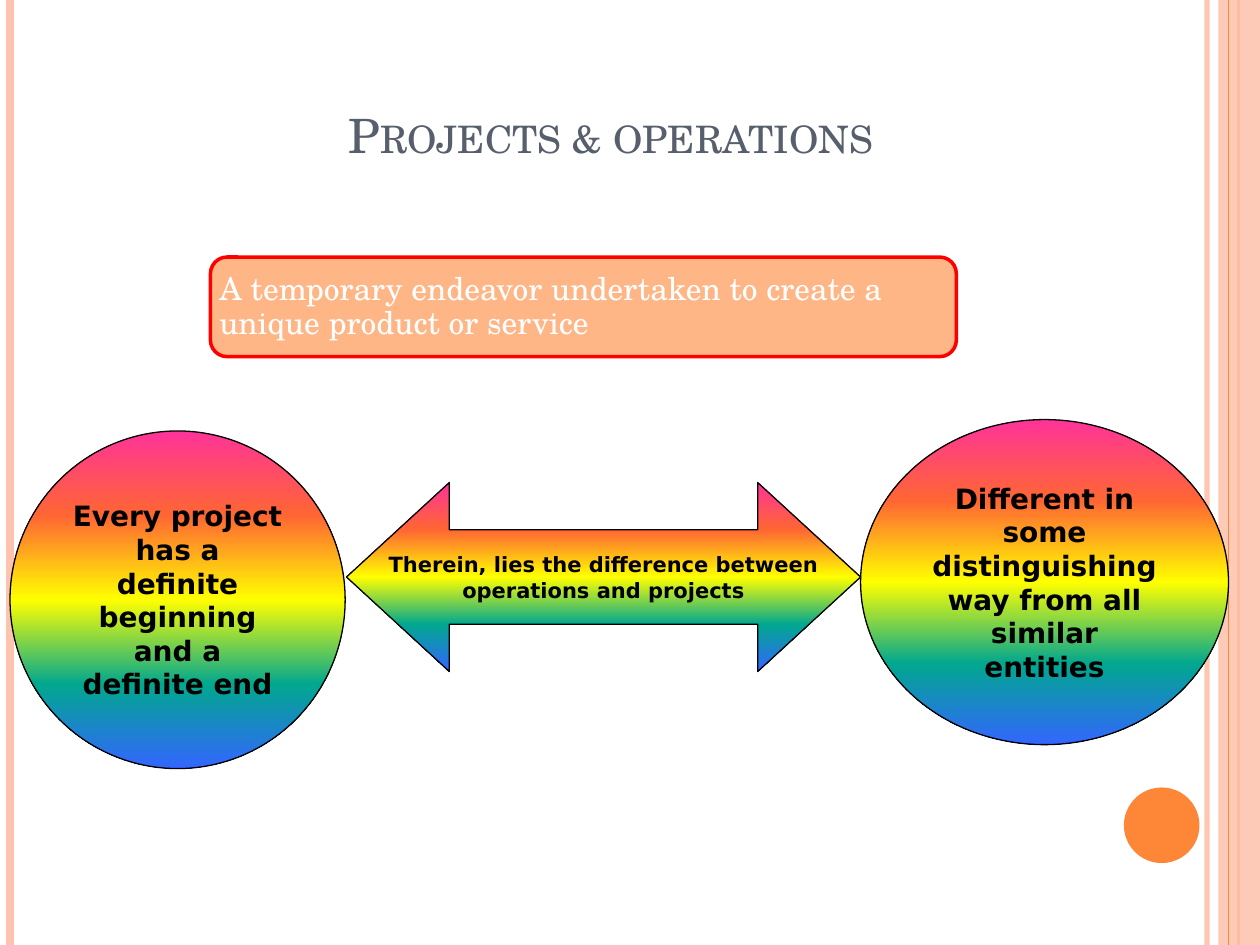
from dataclasses import dataclass
from typing import Any, Optional

import pptx
import pptx.dml.color
import pptx.enum.shapes
import pptx.enum.text
import pptx.oxml
import pptx.oxml.ns
import pptx.util

Inches = pptx.util.Inches
Pt = pptx.util.Pt
Kind = pptx.enum.shapes.MSO_SHAPE
Align = pptx.enum.text.PP_ALIGN
Anchor = pptx.enum.text.MSO_ANCHOR
qn = pptx.oxml.ns.qn

HUES = {
    "peach": "FEC3AE", "orange": "FE8637", "slate": "575F6D", "apricot": "FEB687",
    "red": "FF0000", "white": "FFFFFF", "black": "000000", "pink": "FF3399",
    "coral": "FF6633", "yellow": "FFFF00", "teal": "01A78F", "blue": "3366FF",
}
RAINBOW = ("pink", "coral", "yellow", "teal", "blue")
SERIF = "TeX Gyre Schola"
SANS = "DejaVu Sans"


@dataclass
class Box:
    left: float
    top: float
    width: float
    height: float

    def sizes(self) -> list[int]:
        return [Inches(v) for v in (self.left, self.top, self.width, self.height)]


@dataclass
class Stripe:
    x: float
    hue: str
    weight: float
    alpha: int = 100


@dataclass
class Bubble:
    kind: Any
    box: Box
    lines: tuple[str, ...]
    size: int
    wrap: bool = True
    adjust: tuple[float, ...] = ()


STRIPES = (
    Stripe(9.58, "peach", 3, 93),
    Stripe(0.08, "peach", 4.5),
    Stripe(9.83, "orange", 1.5),
)
EDGE = Stripe(9.75, "orange", 0.75)
BUBBLES = (
    Bubble(Kind.OVAL, Box(0.08, 3.42, 2.66, 2.68),
           ("Every project has a definite beginning and a definite end",), 16),
    Bubble(Kind.OVAL, Box(6.83, 3.33, 2.92, 2.58),
           ("Different in some distinguishing way from all similar entities",), 16),
    Bubble(Kind.LEFT_RIGHT_ARROW, Box(2.75, 3.83, 4.08, 1.5),
           ("Therein, lies the difference between", "operations and projects"),
           12, False, (0.5, 0.544)),
)


def apply(target: Any, values: dict[str, Any]) -> None:
    for name, value in values.items():
        setattr(target, name, value)


def paint(fill: Any, hue: str) -> None:
    fill.solid()
    fill.fore_color.rgb = pptx.dml.color.RGBColor.from_string(HUES[hue])


def fade(part: Any, alpha: int) -> None:
    if alpha < 100:
        tint = next(part.iter(qn("a:srgbClr")))
        pptx.oxml.xmlchemy.OxmlElement
        node = pptx.oxml.parse_xml(
            f'<a:alpha {pptx.oxml.ns.nsdecls("a")} val="{alpha * 1000}"/>')
        tint.append(node)


def add_stripe(slide: Any, stripe: Stripe) -> None:
    x = Inches(stripe.x)
    line = slide.shapes.add_connector(
        pptx.enum.shapes.MSO_CONNECTOR.STRAIGHT, x, 0, x, Inches(7.5))
    paint(line.line.fill, stripe.hue)
    line.line.width = Pt(stripe.weight)
    props = line._element.spPr
    fade(props, stripe.alpha)
    props.append(pptx.oxml.parse_xml(f'<a:effectLst {pptx.oxml.ns.nsdecls("a")}/>'))


def add_shape(slide: Any, kind: Any, box: Box, hue: Optional[str] = None,
              edge: Optional[str] = None, weight: float = 0.75) -> Any:
    shape = slide.shapes.add_shape(kind, *box.sizes())
    shape.shadow.inherit = False
    if hue:
        paint(shape.fill, hue)
    if edge:
        paint(shape.line.fill, edge)
        shape.line.width = Pt(weight)
    else:
        shape.line.fill.background()
    return shape


def blend(shape: Any) -> None:
    shape.fill.gradient()
    shape.fill.gradient_angle = 270
    stops = next(shape._element.spPr.iter(qn("a:gsLst")))
    for stop in list(stops):
        stops.remove(stop)
    step = 100000 // (len(RAINBOW) - 1)
    for rank, hue in enumerate(RAINBOW):
        stops.append(pptx.oxml.parse_xml(
            f'<a:gs {pptx.oxml.ns.nsdecls("a")} pos="{rank * step}">'
            f'<a:srgbClr val="{HUES[hue]}"/></a:gs>'))


def write(shape: Any, lines: tuple[str, ...], hue: str, font: dict[str, Any],
          para: dict[str, Any], frame: dict[str, Any]) -> None:
    text = shape.text_frame
    apply(text, frame)
    for rank, line in enumerate(lines):
        block = text.paragraphs[0] if rank == 0 else text.add_paragraph()
        apply(block, para)
        run = block.add_run()
        run.text = line
        apply(run.font, font)
        paint(run.font.fill, hue)


def add_bubble(slide: Any, bubble: Bubble) -> None:
    shape = add_shape(slide, bubble.kind, bubble.box, edge="black")
    for rank, value in enumerate(bubble.adjust):
        shape.adjustments[rank] = value
    blend(shape)
    write(shape, bubble.lines, "black",
          {"name": SANS, "size": Pt(bubble.size), "bold": True},
          {"alignment": Align.CENTER},
          {"word_wrap": bubble.wrap, "vertical_anchor": Anchor.MIDDLE})


def add_title(slide: Any) -> None:
    title = slide.shapes.add_textbox(*Box(2.67, 0.42, 4.92, 0.92).sizes())
    write(title, ("Projects & operations",), "slate",
          {"name": SERIF, "size": Pt(27)}, {"alignment": Align.LEFT},
          {"word_wrap": True, "vertical_anchor": Anchor.BOTTOM})
    title.text_frame.paragraphs[0].runs[0].font._element.set("cap", "small")


def add_banner(slide: Any) -> None:
    box = Box(1.67, 2.04, 5.92, 0.79)
    add_shape(slide, Kind.ROUNDED_RECTANGLE, box, "apricot", "red", 2)
    label = slide.shapes.add_textbox(*box.sizes())
    sides = ("left", "top", "right", "bottom")
    frame = {f"margin_{side}": Inches(0.07) for side in sides}
    write(label, ("A temporary endeavor undertaken to create a unique product or service",),
          "white", {"name": SERIF, "size": Pt(18)},
          {"alignment": Align.LEFT, "line_spacing": 0.9},
          {**frame, "word_wrap": True, "vertical_anchor": Anchor.MIDDLE})


def main() -> None:
    deck = pptx.Presentation()
    apply(deck, {"slide_width": Inches(10), "slide_height": Inches(7.5)})
    slide = deck.slides.add_slide(deck.slide_layouts[6])
    for stripe in STRIPES:
        add_stripe(slide, stripe)
    band = add_shape(slide, Kind.RECTANGLE, Box(9.67, 0, 0.33, 7.5), "peach")
    fade(band._element.spPr, 87)
    add_stripe(slide, EDGE)
    add_shape(slide, Kind.OVAL, Box(8.92, 6.25, 0.6, 0.6), "orange")
    add_title(slide)
    add_banner(slide)
    for bubble in BUBBLES:
        add_bubble(slide, bubble)
    deck.save("out.pptx")


if __name__ == "__main__":
    main()
